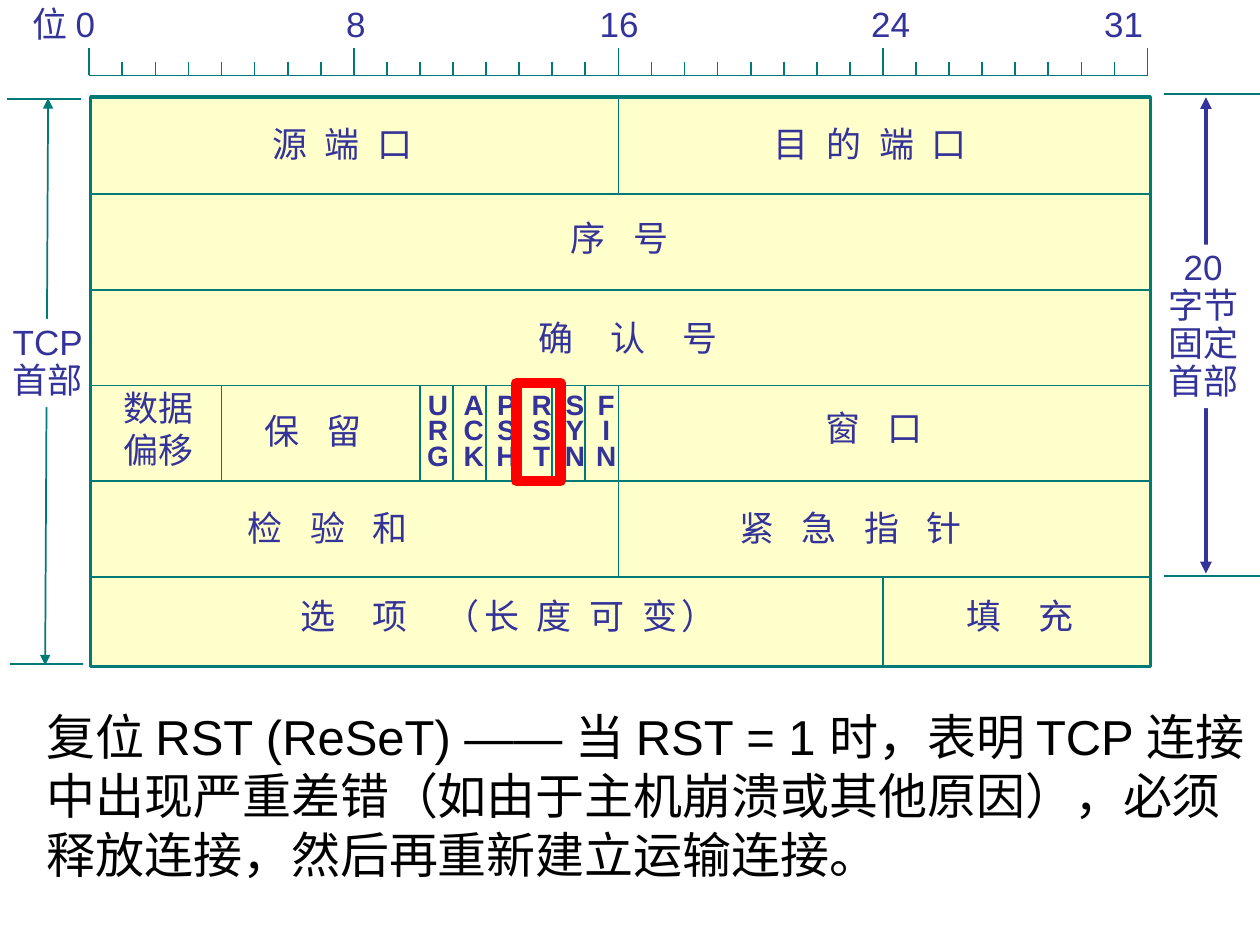
from pptx import Presentation
from pptx.dml.color import RGBColor
from pptx.enum.shapes import MSO_CONNECTOR, MSO_SHAPE
from pptx.enum.text import PP_ALIGN
from pptx.oxml.ns import qn
from pptx.util import Cm, Pt
from lxml.etree import SubElement

TEAL = RGBColor(0x00, 0x7A, 0x77)
INDIGO = RGBColor(0x33, 0x33, 0x99)
CREAM = RGBColor(0xFF, 0xFF, 0xCC)
WHITE = RGBColor(0xFF, 0xFF, 0xFF)
BLACK = RGBColor(0x00, 0x00, 0x00)
RED = RGBColor(0xFF, 0x00, 0x00)

RULER_LEFT, RULER_BASE = 1.8, 1.52
BIT_WIDTH = 2 / 3
FRAME_LEFT, FRAME_TOP, FRAME_WIDTH, FRAME_HEIGHT = 1.83, 1.96, 21.36, 11.48
FRAME_RIGHT = FRAME_LEFT + FRAME_WIDTH
FRAME_BOTTOM = FRAME_TOP + FRAME_HEIGHT
ROW_HEIGHT = 1.93
ROWS = [3.91 + ROW_HEIGHT * index for index in range(5)]


def bit_x(bit):
    return RULER_LEFT + bit * BIT_WIDTH


class HeaderDiagram:
    font_name = "Arial"

    def __init__(self, page):
        self.page = page

    def line(self, x1, y1, x2, y2, color=TEAL, width=1, arrows=False):
        connector = self.page.shapes.add_connector(
            MSO_CONNECTOR.STRAIGHT, Cm(x1), Cm(y1), Cm(x2), Cm(y2))
        connector.line.color.rgb = color
        connector.line.width = Pt(width)
        if arrows:
            outline = connector.line._get_or_add_ln()
            for end in ("a:headEnd", "a:tailEnd"):
                SubElement(outline, qn(end), type="triangle")
        SubElement(connector._element.spPr, qn("a:effectLst"))

    def rectangle(self, left, top, width, height, color, weight, fill=None):
        shape = self.page.shapes.add_shape(
            MSO_SHAPE.RECTANGLE, Cm(left), Cm(top), Cm(width), Cm(height))
        shape.shadow.inherit = False
        if fill is None:
            shape.fill.background()
        else:
            shape.fill.solid()
            shape.fill.fore_color.rgb = fill
        shape.line.color.rgb = color
        shape.line.width = Pt(weight)

    def text(self, left, top, width, height, lines, size=20, color=INDIGO,
             bold=False, align=PP_ALIGN.LEFT, spacing=None, fill=None, tabs=()):
        box = self.page.shapes.add_textbox(Cm(left), Cm(top), Cm(width), Cm(height))
        if fill is not None:
            box.fill.solid()
            box.fill.fore_color.rgb = fill
        frame = box.text_frame
        frame.word_wrap = True
        frame.margin_left = frame.margin_right = 0
        for index, line in enumerate(lines):
            para = frame.add_paragraph() if index else frame.paragraphs[0]
            para.alignment = align
            if spacing:
                para.line_spacing = spacing
            if tabs:
                stops = SubElement(para._p.get_or_add_pPr(), qn("a:tabLst"))
                for stop in tabs:
                    SubElement(stops, qn("a:tab"), pos=str(Cm(stop)), algn="l")
            para.font.name = self.font_name
            para.font.size = Pt(size)
            para.font.bold = bold
            para.font.color.rgb = color
            for words, tracking in [(line, 0)] if isinstance(line, str) else line:
                span = para.add_run()
                span.text = words
                if tracking:
                    span._r.get_or_add_rPr().set("spc", str(round(tracking * 100)))


NARROW, MEDIUM, WIDE = 2.78, 5.56, 8.34

FIELDS = [
    (5.49, 2.34, 4.2, [("源 端 口", NARROW)]),
    (15.6, 2.34, 5.6, [("目 的 端 口", NARROW)]),
    (11.51, 4.24, 3.6, [("序 号", MEDIUM)]),
    (10.85, 6.25, 4.9, [("确 认 号", WIDE)]),
    (5.33, 8.13, 2.9, [("保 留", MEDIUM)]),
    (16.64, 8.08, 2.9, [("窗 口", MEDIUM)]),
    (5.0, 10.08, 4.8, [("检 验 和", MEDIUM)]),
    (14.91, 10.08, 6.5, [("紧 急 指 针", MEDIUM)]),
    (6.05, 11.86, 9.5, [("选 项 ", WIDE), ("（长 度 可 变）", NARROW)]),
    (19.48, 11.86, 3.4, [("填 充", WIDE)]),
]

FLAGS = [("URG", 8.37), ("ACK", 9.09), ("PSH", 9.75),
         ("RST", 10.46), ("SYN", 11.13), ("FIN", 11.76)]


def main():
    deck = Presentation()
    deck.slide_width, deck.slide_height = Cm(25.4), Cm(19.05)
    diagram = HeaderDiagram(deck.slides.add_slide(deck.slide_layouts[6]))

    diagram.line(0.97, 1.98, 0.91, 13.41, arrows=True)
    diagram.text(0, 6.43, 1.93, 1.78, ["TCP", "首部"],
                 align=PP_ALIGN.CENTER, spacing=0.9, fill=WHITE)
    diagram.line(24.31, 1.96, 24.31, 11.56, INDIGO, 2.25, arrows=True)
    diagram.text(23.29, 4.93, 1.93, 3.3, ["20", "字节", "固定", "首部"],
                 align=PP_ALIGN.CENTER, spacing=0.9, fill=WHITE)
    for left, y, right in ((0.15, 2.0, 1.63), (0.2, 13.39, 1.68),
                           (23.47, 1.9, 25.4), (23.47, 11.61, 25.4)):
        diagram.line(left, y, right, y)

    diagram.rectangle(FRAME_LEFT, FRAME_TOP, FRAME_WIDTH, FRAME_HEIGHT, TEAL, 2, CREAM)
    for y in ROWS:
        diagram.line(FRAME_LEFT, y, FRAME_RIGHT, y)
    diagram.line(bit_x(16), FRAME_TOP, bit_x(16), ROWS[0])
    for bit in (4, *range(10, 16)):
        diagram.line(bit_x(bit), ROWS[2], bit_x(bit), ROWS[3])
    diagram.line(bit_x(16), ROWS[2], bit_x(16), ROWS[4])
    diagram.line(bit_x(24), ROWS[4], bit_x(24), FRAME_BOTTOM)

    diagram.line(bit_x(0), RULER_BASE, bit_x(32), RULER_BASE)
    for bit in range(33):
        top = 0.97 if bit % 8 == 0 else 1.24
        diagram.line(bit_x(bit), top, bit_x(bit), RULER_BASE)
    diagram.text(0.66, -0.08, 23.2, 1.09, ["位 0\t8\t16\t24\t31"],
                 tabs=(6.32, 11.43, 16.9, 21.6))

    for left, top, width, spans in FIELDS:
        diagram.text(left, top, width, 1.09, [spans])
    diagram.text(2.49, 7.67, 1.8, 1.93, ["数据", "偏移"])
    for name, left in FLAGS:
        diagram.text(left, 7.85, 0.92, 1.78, name, size=16, bold=True,
                     align=PP_ALIGN.CENTER, spacing=0.75)

    diagram.text(0.94, 14.12, 24.2, 3.81, [
        "复位 RST (ReSeT) —— 当 RST = 1 时，表明 TCP 连接中出现严重差错"
        "（如由于主机崩溃或其他原因），必须释放连接，然后再重新建立运输连接。"
    ], size=28, color=BLACK)
    diagram.rectangle(10.41, 7.72, 0.89, 1.98, RED, 6)

    deck.save("out.pptx")


if __name__ == "__main__":
    main()
